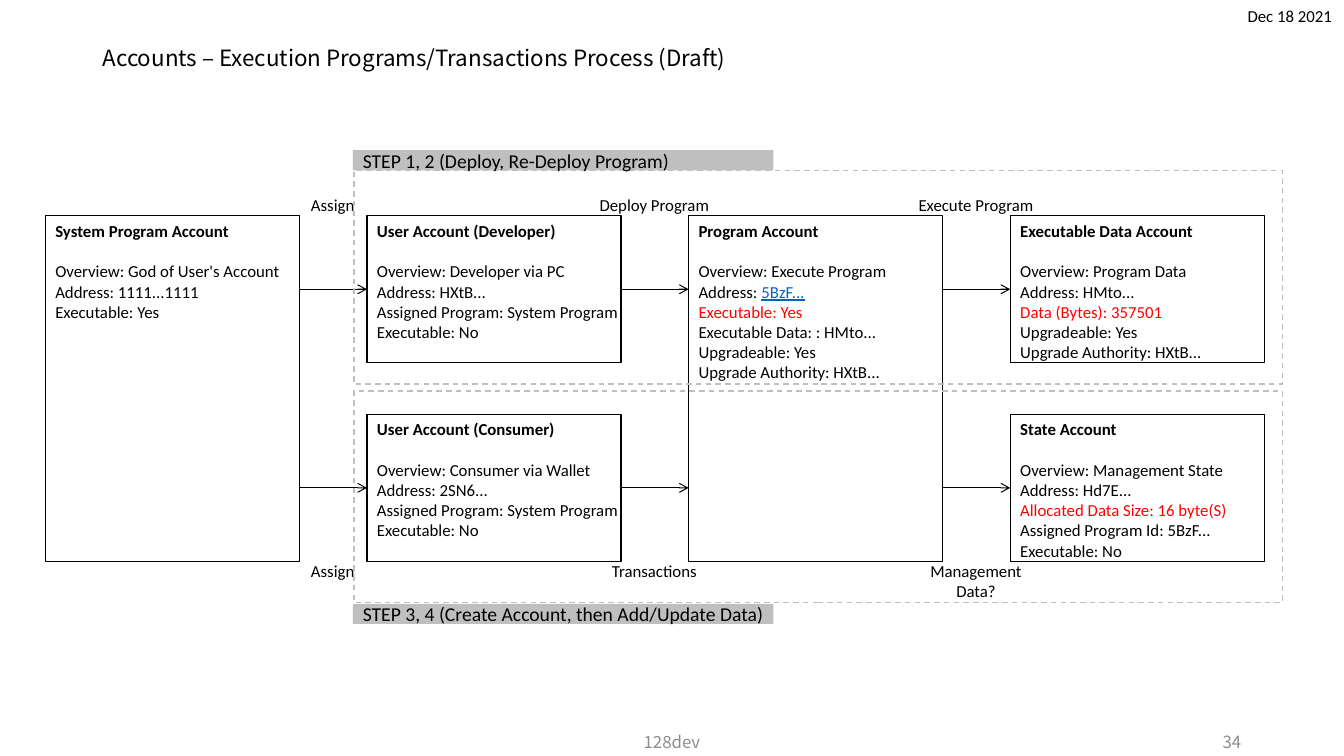
"""Build the slide on accounts and the execution of programs and transactions."""
from dataclasses import dataclass

from lxml.etree import SubElement
from pptx import Presentation
from pptx.dml.color import RGBColor as Color
from pptx.enum.dml import MSO_LINE as Dash
from pptx.enum.shapes import MSO_CONNECTOR as Connector, MSO_SHAPE as Preset
from pptx.enum.text import MSO_ANCHOR as Anchor, PP_ALIGN as Align
from pptx.oxml.ns import qn
from pptx.util import Pt

PX = 9144
COLUMN_LEFT, COLUMN_PITCH, ACCOUNT_WIDTH = 45, 319, 252
ROW_TOPS = (214, 411)
SHORT, TALL = 146, 343
LABEL_TOPS = (188, 551)
LABEL_WIDTH = 138


@dataclass(frozen=True)
class Theme:
    """Colours, fonts and type sizes of the slide."""

    ink: Color = Color(0x00, 0x00, 0x00)
    alert: Color = Color(0xFF, 0x00, 0x00)
    link: Color = Color(0x05, 0x63, 0xC1)
    band: Color = Color(0xBF, 0xBF, 0xBF)
    muted: Color = Color(0x8C, 0x8C, 0x8C)
    body_font: str = "Calibri"
    heading_font: str = "Noto Sans CJK JP"
    title_size: Pt = Pt(16)
    step_size: Pt = Pt(14)
    body_size: Pt = Pt(12)
    heading_gap: Pt = Pt(14.5)


THEME = Theme()

ACCOUNTS = (
    (0, 0, TALL, "System Program Account",
     ("Overview: God of User's Account", "Address: 1111...1111", "Executable: Yes"), "", ""),
    (1, 0, SHORT, "User Account (Developer)",
     ("Overview: Developer via PC", "Address: HXtB...",
      "Assigned Program: System Program", "Executable: No"), "", ""),
    (2, 0, TALL, "Program Account",
     ("Overview: Execute Program", "Address: ", "Executable: Yes",
      "Executable Data: : HMto...", "Upgradeable: Yes", "Upgrade Authority: HXtB..."),
     "Executable: Yes", "5BzF..."),
    (3, 0, SHORT, "Executable Data Account",
     ("Overview: Program Data", "Address: HMto...", "Data (Bytes): 357501",
      "Upgradeable: Yes", "Upgrade Authority: HXtB..."), "Data (Bytes): 357501", ""),
    (1, 1, SHORT, "User Account (Consumer)",
     ("Overview: Consumer via Wallet", "Address: 2SN6...",
      "Assigned Program: System Program", "Executable: No"), "", ""),
    (3, 1, SHORT, "State Account",
     ("Overview: Management State", "Address: Hd7E...", "Allocated Data Size: 16 byte(S)",
      "Assigned Program Id: 5BzF...", "Executable: No"),
     "Allocated Data Size: 16 byte(S)", ""),
)
FLOW_LABELS = (
    ("Assign", "Deploy Program", "Execute Program"),
    ("Assign", "Transactions", "Management Data?"),
)
STEPS = (
    (169, 212, 149, "STEP 1, 2 (Deploy, Re-Deploy Program)"),
    (388, 210, 599, "STEP 3, 4 (Create Account, then Add/Update Data)"),
)


def scale(*lengths):
    """Turn lengths in px into EMU."""
    return [length * PX for length in lengths]


def column_left(column):
    """Return the left edge of a column of accounts."""
    return COLUMN_LEFT + column * COLUMN_PITCH


def style_run(run, size, color, font=THEME.body_font, bold=False):
    """Give a run its type."""
    run.font.name = font
    run.font.size = size
    run.font.bold = bold
    run.font.color.rgb = color


def add_rectangle(slide, box, fill=None, line=None):
    """Add a rectangle with an optional fill and outline."""
    shape = slide.shapes.add_shape(Preset.RECTANGLE, *scale(*box))
    shape.shadow.inherit = False
    if fill is None:
        shape.fill.background()
    else:
        shape.fill.solid()
        shape.fill.fore_color.rgb = fill
    if line is None:
        shape.line.fill.background()
    else:
        shape.line.color.rgb = line
        shape.line.width = Pt(1)
    return shape


def write_line(shape, text, size, color=THEME.ink, font=THEME.body_font,
               align=Align.LEFT, anchor=Anchor.MIDDLE, wrap=True):
    """Write one line of text in a shape."""
    frame = shape.text_frame
    frame.text = text
    frame.word_wrap = wrap
    frame.vertical_anchor = anchor
    paragraph = frame.paragraphs[0]
    paragraph.alignment = align
    style_run(paragraph.runs[0], size, color, font)


def add_text(slide, box, text, size, **style):
    """Add a text box that holds one line."""
    write_line(slide.shapes.add_textbox(*scale(*box)), text, size, **style)


def add_account(slide, column, row, height, heading, details, alert, address):
    """Add an account box with its heading and details."""
    box = (column_left(column), ROW_TOPS[row], ACCOUNT_WIDTH, height)
    frame = add_rectangle(slide, box, line=THEME.ink).text_frame
    frame.word_wrap = False
    frame.vertical_anchor = Anchor.TOP
    frame.text = "\n".join((heading, *details))
    for paragraph in frame.paragraphs:
        is_heading = paragraph.text == heading
        color = THEME.alert if paragraph.text == alert else THEME.ink
        paragraph.alignment = Align.LEFT
        style_run(paragraph.runs[0], THEME.body_size, color, bold=is_heading)
        if is_heading:
            paragraph.space_after = THEME.heading_gap
        if address and paragraph.text == "Address: ":
            run = paragraph.add_run()
            run.text = address
            style_run(run, THEME.body_size, THEME.link)
            run.font.underline = True


def add_arrow(slide, left, right, y):
    """Add a horizontal arrow with an open head."""
    arrow = slide.shapes.add_connector(Connector.STRAIGHT, *scale(left, y, right, y))
    arrow.line.color.rgb = THEME.ink
    arrow.line.width = Pt(0.75)
    SubElement(arrow.line._get_or_add_ln(), qn("a:tailEnd"), type="arrow")
    SubElement(arrow._element.spPr, qn("a:effectLst"))


def add_flow(slide, row, gap, label):
    """Add the arrow between two columns and its label."""
    left, right = column_left(gap) + ACCOUNT_WIDTH, column_left(gap + 1)
    add_arrow(slide, left, right, ROW_TOPS[row] + SHORT // 2)
    label_left = (left + right - LABEL_WIDTH) // 2
    add_text(slide, (label_left, LABEL_TOPS[row], LABEL_WIDTH, 30), label,
             THEME.body_size, align=Align.CENTER, anchor=Anchor.TOP, wrap=False)


def add_step(slide, top, height, band_top, text):
    """Add a dashed frame and the band that names its steps."""
    frame = add_rectangle(slide, (351, top, 921, height), line=THEME.band)
    frame.line.dash_style = Dash.DASH
    band = add_rectangle(slide, (350, band_top, 417, 20), fill=THEME.band)
    write_line(band, text, THEME.step_size, wrap=False)


def main():
    """Build and save the slide."""
    presentation = Presentation()
    presentation.slide_width, presentation.slide_height = scale(1333, 750)
    slide = presentation.slides.add_slide(presentation.slide_layouts[6])
    add_text(slide, (92, 40, 1150, 35),
             "Accounts – Execution Programs/Transactions Process (Draft)",
             THEME.title_size, font=THEME.heading_font)
    for account in ACCOUNTS:
        add_account(slide, *account)
    for row, labels in enumerate(FLOW_LABELS):
        for gap, label in enumerate(labels):
            add_flow(slide, row, gap, label)
    for step in STEPS:
        add_step(slide, *step)
    footer = {"color": THEME.muted, "font": THEME.heading_font}
    add_text(slide, (588, 726, 157, 19), "128dev", THEME.body_size,
             align=Align.CENTER, **footer)
    add_text(slide, (1084, 726, 157, 19), "34", THEME.body_size,
             align=Align.RIGHT, **footer)
    add_text(slide, (1224, 1, 107, 35), "Dec 18 2021", THEME.body_size,
             align=Align.RIGHT, anchor=Anchor.TOP)
    presentation.save("out.pptx")


if __name__ == "__main__":
    main()
